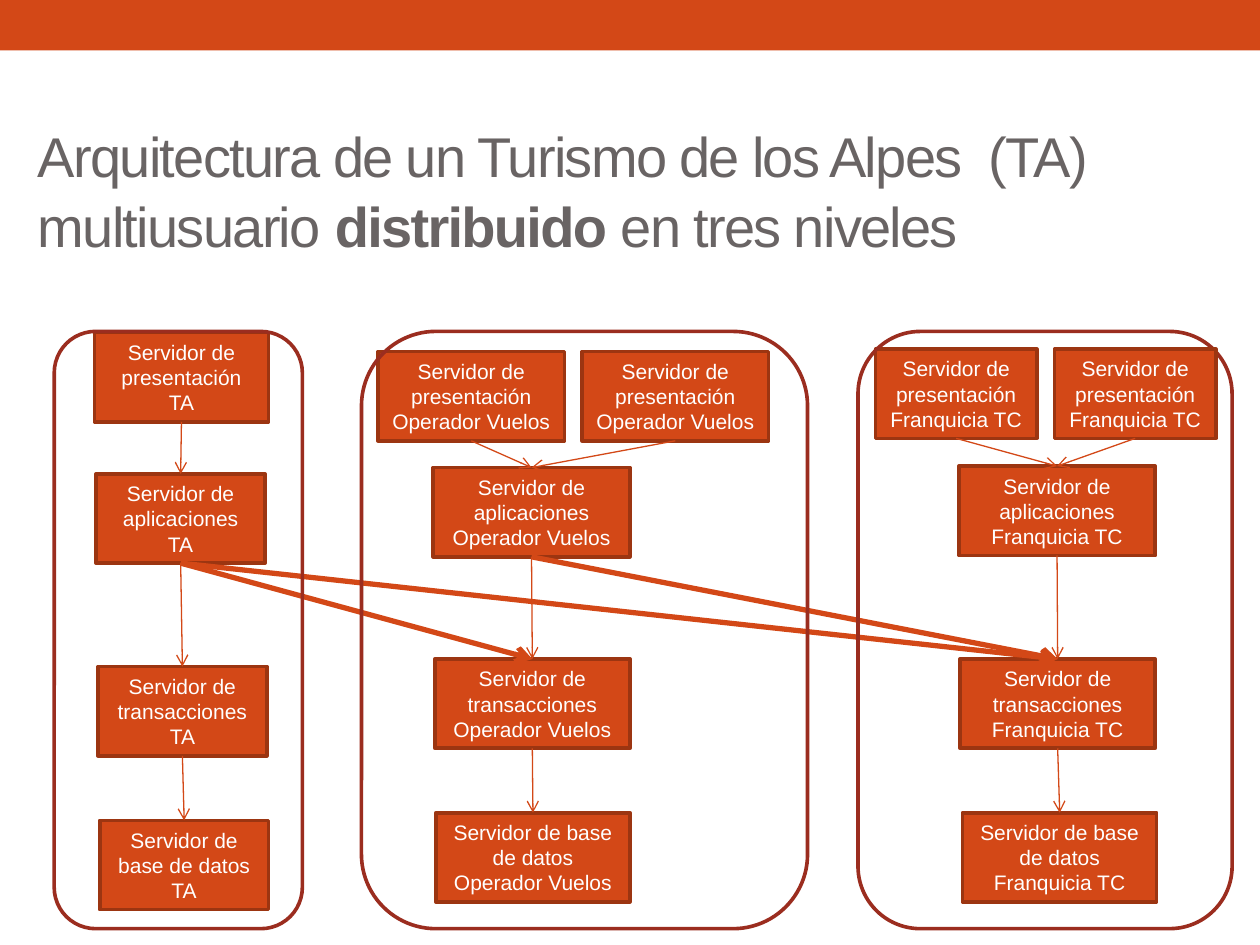
from lxml import etree
from pptx import Presentation
from pptx import util as u
from pptx.dml import color
from pptx.enum import shapes, text
from pptx.oxml import ns

Pt = u.Pt
HEX = {"bar": "D34817", "edge": "9C3511", "frame": "9B2D1F",
       "title": "696464", "text": "FFFFFF"}
FONT = "Arial"
TIERS = ["presentación", "aplicaciones", "transacciones", "base de datos"]
TOP, TALL, HIGH = 189.4, 341.3, 51
TOP_SITE, LOW_SITE = 0, 2

# Each tier is (left, top, width) from the corner of the frame.
ZONES = [
    {"name": "TA", "left": 31, "wide": 141.8, "twin": None,
     "tiers": [(23, 0.7, 99.4), (24, 81.4, 96.5), (25, 191.5, 96.5), (26, 279.4, 96.5)]},
    {"name": "Operador Vuelos", "left": 206.6, "wide": 254.9, "twin": 126,
     "tiers": [(9.4, 11.5, 106.6), (41, 77.8, 112.3), (41.8, 187.2, 111.6), (42.5, 275, 110.9)]},
    {"name": "Franquicia TC", "left": 490.3, "wide": 213.8, "twin": 112.3,
     "tiers": [(10, 10.1, 92.2), (57.6, 77, 112.3), (58.3, 187.2, 111.6), (59.8, 275, 110.9)]},
]


def rgb(key):
    return color.RGBColor.from_string(HEX[key])


def add_box(slide, kind, box, fill=None, edge=None):
    shape = slide.shapes.add_shape(kind, *map(Pt, box))
    shape.shadow.inherit = False
    if fill:
        shape.fill.solid()
        shape.fill.fore_color.rgb = rgb(fill)
    else:
        shape.fill.background()
    if edge:
        shape.line.color.rgb = rgb(edge)
        shape.line.width = Pt(2.08)
    else:
        shape.line.fill.background()
    return shape


def add_node(slide, zone, tier, left=None):
    x, y, wide = zone["tiers"][tier]
    x = x if left is None else left
    node = add_box(slide, shapes.MSO_SHAPE.RECTANGLE,
                   (zone["left"] + x, TOP + y, wide, HIGH), "bar", "edge")
    frame = node.text_frame
    frame.word_wrap = True
    frame.vertical_anchor = text.MSO_ANCHOR.MIDDLE
    para = frame.paragraphs[0]
    para.text = f"Servidor de {TIERS[tier]} {zone['name']}"
    para.alignment = text.PP_ALIGN.CENTER
    para.font.name, para.font.size = FONT, Pt(12)
    para.font.color.rgb = rgb("text")
    return node


def add_link(slide, start, end, width=0.75):
    link = slide.shapes.add_connector(shapes.MSO_CONNECTOR.STRAIGHT, 0, 0, 0, 0)
    link.begin_connect(start, LOW_SITE)
    link.end_connect(end, TOP_SITE)
    link.line.color.rgb = rgb("bar")
    link.line.width = Pt(width)
    etree.SubElement(link.line._get_or_add_ln(), ns.qn("a:tailEnd"), type="arrow")
    etree.SubElement(link._element.spPr, ns.qn("a:effectLst"))


def add_stack(slide, zone):
    nodes = [add_node(slide, zone, tier) for tier in range(len(TIERS))]
    for start, end in zip(nodes, nodes[1:]):
        add_link(slide, start, end)
    return nodes


def add_frame(slide, zone):
    add_box(slide, shapes.MSO_SHAPE.ROUNDED_RECTANGLE,
            (zone["left"], TOP, zone["wide"], TALL), edge="frame")


def add_title(slide, box):
    title = slide.shapes.title
    title.left, title.top, title.width, title.height = map(Pt, box)
    frame = title.text_frame
    frame.word_wrap = True
    frame.auto_size = text.MSO_AUTO_SIZE.NONE
    frame.vertical_anchor = text.MSO_ANCHOR.MIDDLE
    para = frame.paragraphs[0]
    para.alignment = text.PP_ALIGN.LEFT
    para.line_spacing = 1.04
    para.font.name, para.font.size = FONT, Pt(32)
    para.font.color.rgb = rgb("title")
    for words, bold in [("Arquitectura de un Turismo de los Alpes  (TA) multiusuario ", False),
                        ("distribuido", True), (" en tres niveles", False)]:
        run = para.add_run()
        run.text = words
        run.font.bold = bold
        run._r.get_or_add_rPr().set("spc", "-100")


def main():
    deck = Presentation()
    deck.slide_width, deck.slide_height = Pt(720), Pt(540)
    slide = deck.slides.add_slide(deck.slide_layouts[5])
    add_box(slide, shapes.MSO_SHAPE.RECTANGLE, (0, 0, 720, 28.8), "bar")
    add_title(slide, (14.4, 41.8, 705.6, 131.8))

    stacks = [add_stack(slide, zone) for zone in ZONES]
    for start, end in [(0, 1), (0, 2), (1, 2)]:
        add_link(slide, stacks[start][1], stacks[end][2], 3)
    for zone in ZONES:
        add_frame(slide, zone)
    for zone, stack in zip(ZONES, stacks):
        if zone["twin"]:
            twin = add_node(slide, zone, 0, zone["twin"])
            add_link(slide, twin, stack[1])
    deck.save("out.pptx")


if __name__ == "__main__":
    main()
